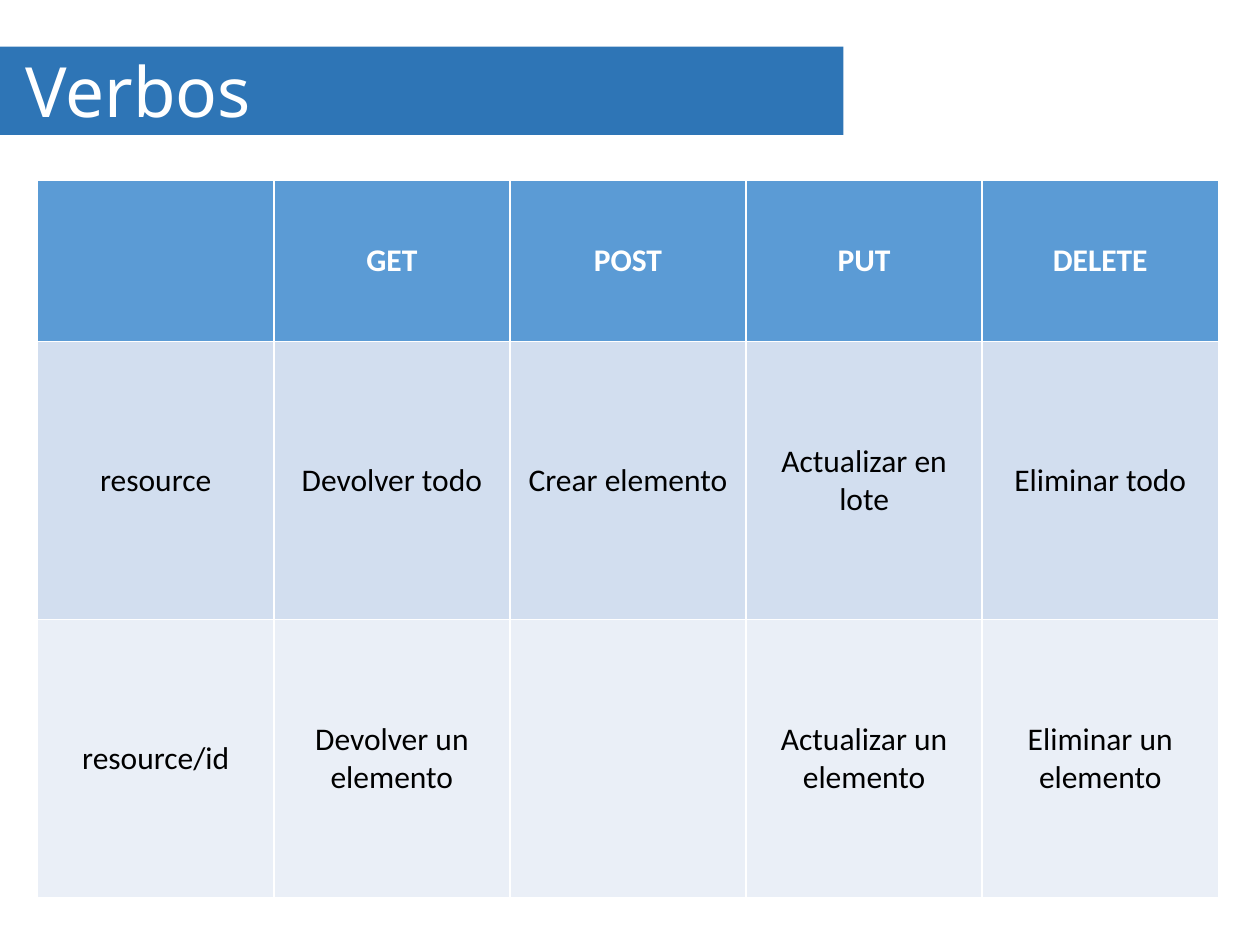
import dataclasses

import pptx
import pptx.dml.color
import pptx.enum.text
import pptx.util

Cm = pptx.util.Cm
Pt = pptx.util.Pt
RGB = pptx.dml.color.RGBColor.from_string
MIDDLE = pptx.enum.text.MSO_ANCHOR.MIDDLE
ALIGN = pptx.enum.text.PP_ALIGN


@dataclasses.dataclass(frozen=True)
class Theme:
    banner: str = "2E75B6"
    row_fills: tuple = ("5B9BD5", "D2DEEF", "EAEFF7")
    light: str = "FFFFFF"
    dark: str = "000000"
    title_font: str = "Noto Sans"
    title_size: float = 39.6
    body_font: str = "Calibri"
    body_size: float = 18


theme = Theme()


def format_font(font, name, size, color, bold=False):
    font.name = name
    font.size = Pt(size)
    font.bold = bold
    font.color.rgb = RGB(color)


prs = pptx.Presentation()
prs.slide_width, prs.slide_height = Cm(25.4), Cm(19.05)
s = prs.slides.add_slide(prs.slide_layouts[5])

# Title banner
title = s.shapes.title
title.left, title.top, title.width, title.height = Cm(0), Cm(0.94), Cm(17), Cm(1.78)
title.fill.solid()
title.fill.fore_color.rgb = RGB(theme.banner)
tf = title.text_frame
tf.text = "Verbos"
tf.auto_size = pptx.enum.text.MSO_AUTO_SIZE.NONE
tf.vertical_anchor = MIDDLE
tf.margin_left, tf.margin_top = Cm(0.51), Cm(0.3)
tf.margin_right, tf.margin_bottom = Cm(0.25), Cm(0.13)
p = tf.paragraphs[0]
p.alignment = ALIGN.LEFT
p.line_spacing = 0.9
format_font(p.runs[0].font, theme.title_font, theme.title_size, theme.light)

# Verbs by resource; the default table style draws the white borders
rows = [
    ["", "GET", "POST", "PUT", "DELETE"],
    ["resource", "Devolver todo", "Crear elemento", "Actualizar en lote", "Eliminar todo"],
    ["resource/id", "Devolver un elemento", "", "Actualizar un elemento", "Eliminar un elemento"],
]
row_heights = [3.25, 5.61, 5.61]
table = s.shapes.add_table(
    len(rows), len(rows[0]), Cm(0.76), Cm(3.63), Cm(23.8), Cm(sum(row_heights))
).table

for i, (texts, height, fill) in enumerate(zip(rows, row_heights, theme.row_fills)):
    table.rows[i].height = Cm(height)
    header = i == 0
    for j, text in enumerate(texts):
        cell = table.cell(i, j)
        cell.fill.solid()
        cell.fill.fore_color.rgb = RGB(fill)
        cell.vertical_anchor = MIDDLE
        cell.text_frame.text = text
        p = cell.text_frame.paragraphs[0]
        p.alignment = ALIGN.CENTER
        for r in p.runs:
            color = theme.light if header else theme.dark
            format_font(r.font, theme.body_font, theme.body_size, color, header)

prs.save("out.pptx")
